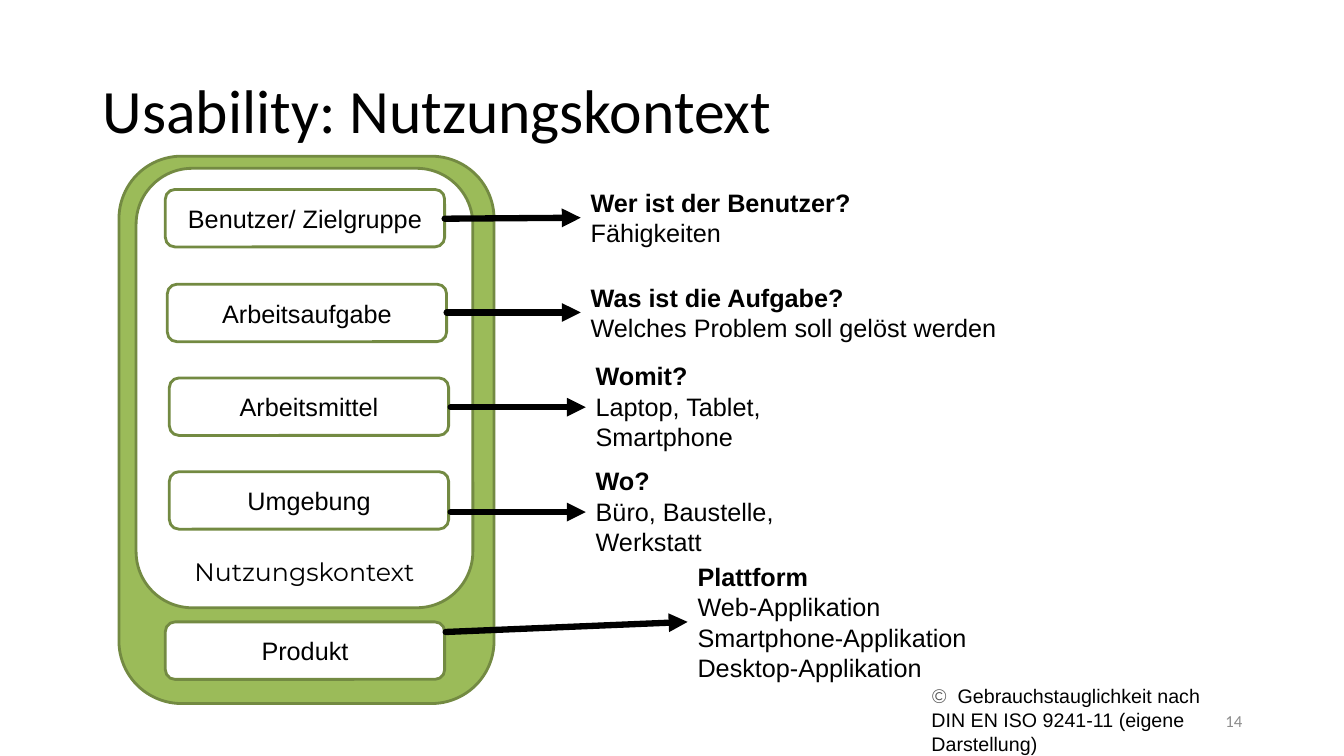
from lxml import etree
from pptx import Presentation
from pptx import util as u
from pptx.dml.color import RGBColor
from pptx.enum import shapes, text
from pptx.oxml.ns import qn

PX = 9144  # 100 px to the inch
BLACK = RGBColor(0, 0, 0)
WHITE = RGBColor(255, 255, 255)
GREEN = RGBColor(0x9B, 0xBB, 0x59)
EDGE = RGBColor(0x73, 0x8A, 0x42)
GREY = RGBColor(0x8C, 0x8C, 0x8C)
DARK = RGBColor(0x53, 0x53, 0x53)

TITLE = "Usability: Nutzungskontext"
CONTEXT = "Nutzungskontext"
NUMBER = "14"
SOURCE = ("©  ", "Gebrauchstauglichkeit nach DIN EN ISO 9241-11 (eigene Darstellung)")

# label, box left and top, arrow (x1, y1, x2, y2), note (top, width, height), lines
ROWS = [
    ("Benutzer/ Zielgruppe", (164, 188), (441, 217, 576, 216), (181, 288, 71),
     ["Wer ist der Benutzer?", "Fähigkeiten"]),
    ("Arbeitsaufgabe", (166, 282), (443, 310, 576, 310), (275, 438, 71),
     ["Was ist die Aufgabe?", "Welches Problem soll gelöst werden"]),
    ("Arbeitsmittel", (168, 375), (447, 404, 581, 404), (353, 314, 101),
     ["Womit?", "Laptop, Tablet, Smartphone"]),
    ("Umgebung", (168, 468), (447, 508, 581, 508), (457, 265, 101),
     ["Wo?", "Büro, Baustelle, Werkstatt"]),
    ("Produkt", (164, 617), (442, 627, 682, 617), (552, 502, 131),
     ["Plattform", "Web-Applikation", "Smartphone-Applikation",
      "Desktop-Applikation"]),
]
BOX = (277, 57)


def px(*nums):
    return [u.Emu(n * PX) for n in nums]


def style(font, size, name="Arial", color=BLACK, bold=False):
    font.size, font.name, font.bold = u.Pt(size), name, bold
    font.color.rgb = color


def panel(slide, area, fill, label="", face="Arial", anchor=text.MSO_ANCHOR.MIDDLE):
    box = slide.shapes.add_shape(shapes.MSO_SHAPE.ROUNDED_RECTANGLE, *px(*area))
    box.shadow.inherit = False
    box.fill.solid()
    box.fill.fore_color.rgb = fill
    box.line.color.rgb = EDGE
    box.line.width = u.Pt(2)
    if label:
        frame = box.text_frame
        frame.text, frame.vertical_anchor = label, anchor
        para = frame.paragraphs[0]
        para.alignment = text.PP_ALIGN.CENTER
        style(para.font, 18, face)


def arrow(slide, ends):
    line = slide.shapes.add_connector(shapes.MSO_CONNECTOR.STRAIGHT, *px(*ends))
    line.line.color.rgb = BLACK
    line.line.width = u.Pt(4.5)
    props = line._element.spPr
    stroke = props.find(qn("a:ln"))
    stroke.set("cap", "rnd")
    etree.SubElement(stroke, qn("a:tailEnd"), type="triangle")
    etree.SubElement(props, qn("a:effectLst"))


def note(slide, area, lines):
    frame = slide.shapes.add_textbox(*px(*area)).text_frame
    frame.word_wrap = True
    for i, line in enumerate(lines):
        para = frame.add_paragraph() if i else frame.paragraphs[0]
        para.text = line
        style(para.font, 18, bold=i == 0)
    return frame


def main():
    deck = Presentation()
    deck.slide_width, deck.slide_height = u.Inches(13.33), u.Inches(7.5)
    slide = deck.slides.add_slide(deck.slide_layouts[5])

    # Title
    title = slide.shapes.title
    title.left, title.top, title.width, title.height = px(92, 40, 1150, 145)
    title.text_frame.text = TITLE
    title.text_frame.vertical_anchor = text.MSO_ANCHOR.MIDDLE
    para = title.text_frame.paragraphs[0]
    para.alignment, para.line_spacing = text.PP_ALIGN.LEFT, 0.9
    style(para.font, 44, "Calibri")

    # Nested panels
    panel(slide, (118, 155, 372, 543), GREEN)
    panel(slide, (135, 167, 334, 436), WHITE, CONTEXT, "Montserrat",
          text.MSO_ANCHOR.BOTTOM)

    # Boxes, each with its arrow and note
    for label, spot, ends, (top, wide, high), lines in ROWS:
        panel(slide, spot + BOX, WHITE, label)
        arrow(slide, ends)
        note(slide, (ends[2], top, wide, high), lines)

    # Source
    frame = note(slide, (914, 674, 301, 81), [""])
    para = frame.paragraphs[0]
    for part, face, color in zip(SOURCE, ("Montserrat", "Arial"), (DARK, BLACK)):
        run = para.add_run()
        run.text = part
        style(run.font, 14, face, color)

    # Slide number
    frame = note(slide, (942, 695, 300, 40), [NUMBER])
    frame.vertical_anchor = text.MSO_ANCHOR.MIDDLE
    para = frame.paragraphs[0]
    para.alignment = text.PP_ALIGN.RIGHT
    style(para.font, 12, "Calibri", GREY)

    deck.save("out.pptx")


if __name__ == "__main__":
    main()
